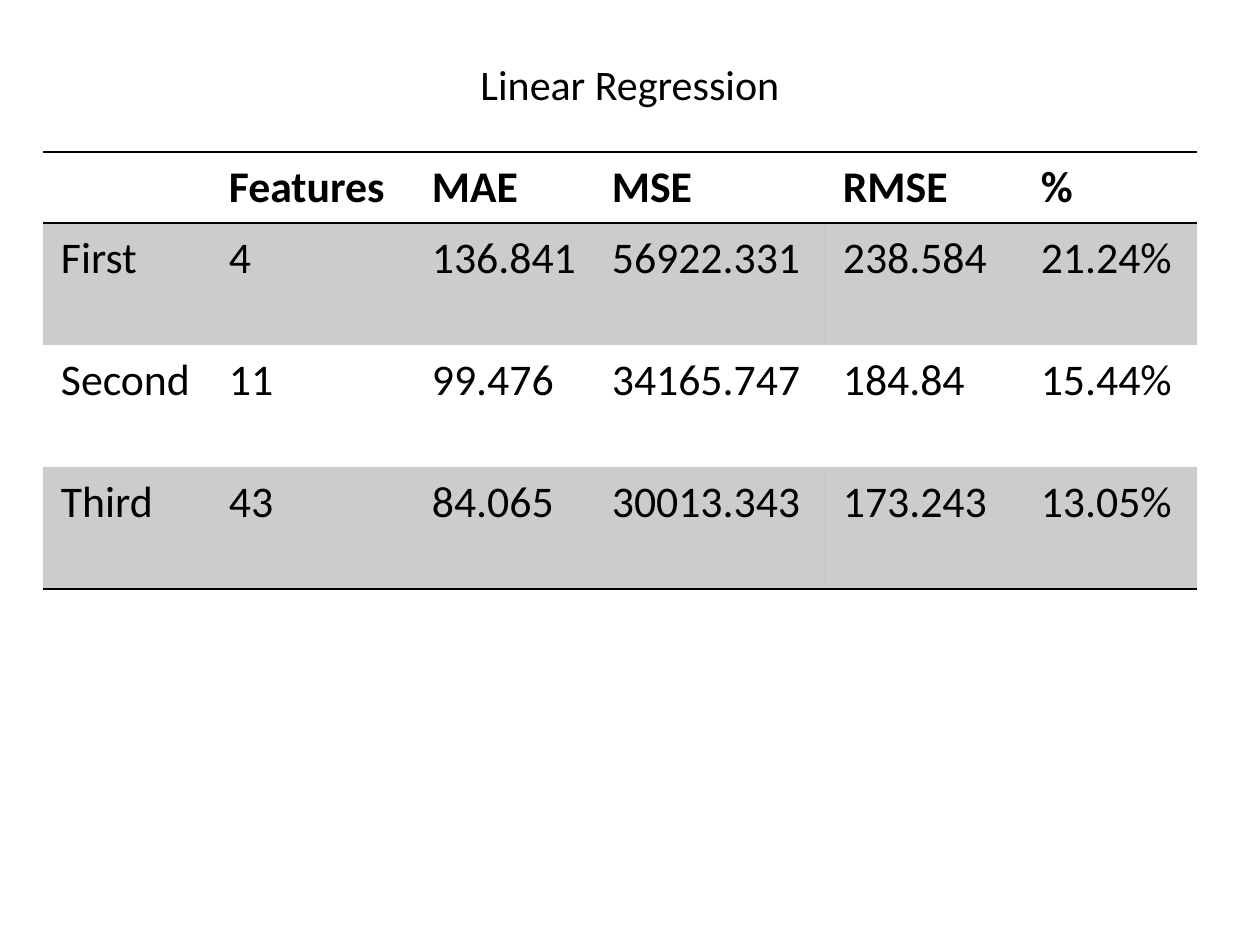
from lxml import etree
from pptx import Presentation
from pptx import util as u
from pptx.dml.color import RGBColor
from pptx.enum import text
from pptx.oxml import ns

BLACK = RGBColor(0, 0, 0)
COLUMN_WIDTHS = [168, 203, 180, 231, 198, 174]
ROW_HEIGHTS = [71, 122, 122, 122]
RESULTS = [
    ["", "Features", "MAE", "MSE", "RMSE", "%"],
    ["First", "4", "136.841", "56922.331", "238.584", "21.24%"],
    ["Second", "11", "99.476", "34165.747", "184.84", "15.44%"],
    ["Third", "43", "84.065", "30013.343", "173.243", "13.05%"],
]


def px(length):
    return u.Emu(round(length * 914400 / 126))


class SlideBuilder:
    font_name = "Calibri"
    ink = BLACK
    band_alpha = 20
    rule_width = u.Pt(1)

    def __init__(self, slide):
        self.slide = slide

    def style(self, paragraph, size, bold=False):
        font = paragraph.font
        font.name, font.size, font.bold = self.font_name, u.Pt(size), bold
        font.color.rgb = self.ink

    def title(self, wording, left, top, width, height):
        box = self.slide.shapes.add_textbox(*map(px, (left, top, width, height)))
        frame = box.text_frame
        frame.word_wrap = True
        frame.vertical_anchor = text.MSO_ANCHOR.MIDDLE
        heading = frame.paragraphs[0]
        heading.text = wording
        heading.alignment = text.PP_ALIGN.CENTER
        self.style(heading, 24)

    def shade(self, cell):
        cell.fill.solid()
        cell.fill.fore_color.rgb = self.ink
        tint = cell._tc.tcPr.find(".//" + ns.qn("a:srgbClr"))
        etree.SubElement(tint, ns.qn("a:alpha"), val=str(self.band_alpha * 1000))

    def borders(self, cell, ruled):
        properties = cell._tc.get_or_add_tcPr()
        for position, side in enumerate("LRTB"):
            edge = etree.Element(ns.qn(f"a:ln{side}"), w=str(self.rule_width))
            if side in ruled:
                paint = etree.SubElement(edge, ns.qn("a:solidFill"))
                etree.SubElement(paint, ns.qn("a:srgbClr"), val=str(self.ink))
            else:
                etree.SubElement(edge, ns.qn("a:noFill"))
            properties.insert(position, edge)

    def table(self, rows, left, top, widths, heights):
        table = self.slide.shapes.add_table(
            len(rows), len(widths), px(left), px(top), px(sum(widths)), px(sum(heights))
        ).table
        table.first_row = table.horz_banding = False
        for column, width in zip(table.columns, widths):
            column.width = px(width)
        for r, (values, height) in enumerate(zip(rows, heights)):
            table.rows[r].height = px(height)
            ruled = ("T" if r < 2 else "") + ("B" if r in (0, len(rows) - 1) else "")
            for c, value in enumerate(values):
                cell = table.cell(r, c)
                cell.margin_left = cell.margin_right = px(18)
                cell.margin_top = cell.margin_bottom = px(9)
                entry = cell.text_frame.paragraphs[0]
                entry.text = value
                self.style(entry, 25, bold=r == 0)
                if r % 2:
                    self.shade(cell)
                else:
                    cell.fill.background()
                self.borders(cell, ruled)


def main():
    deck = Presentation()
    deck.slide_width, deck.slide_height = px(1260), px(945)
    builder = SlideBuilder(deck.slides.add_slide(deck.slide_layouts[6]))
    builder.title("Linear Regression", 63, 38, 1134, 92)
    builder.table(RESULTS, 43, 152, COLUMN_WIDTHS, ROW_HEIGHTS)
    deck.save("out.pptx")


if __name__ == "__main__":
    main()
